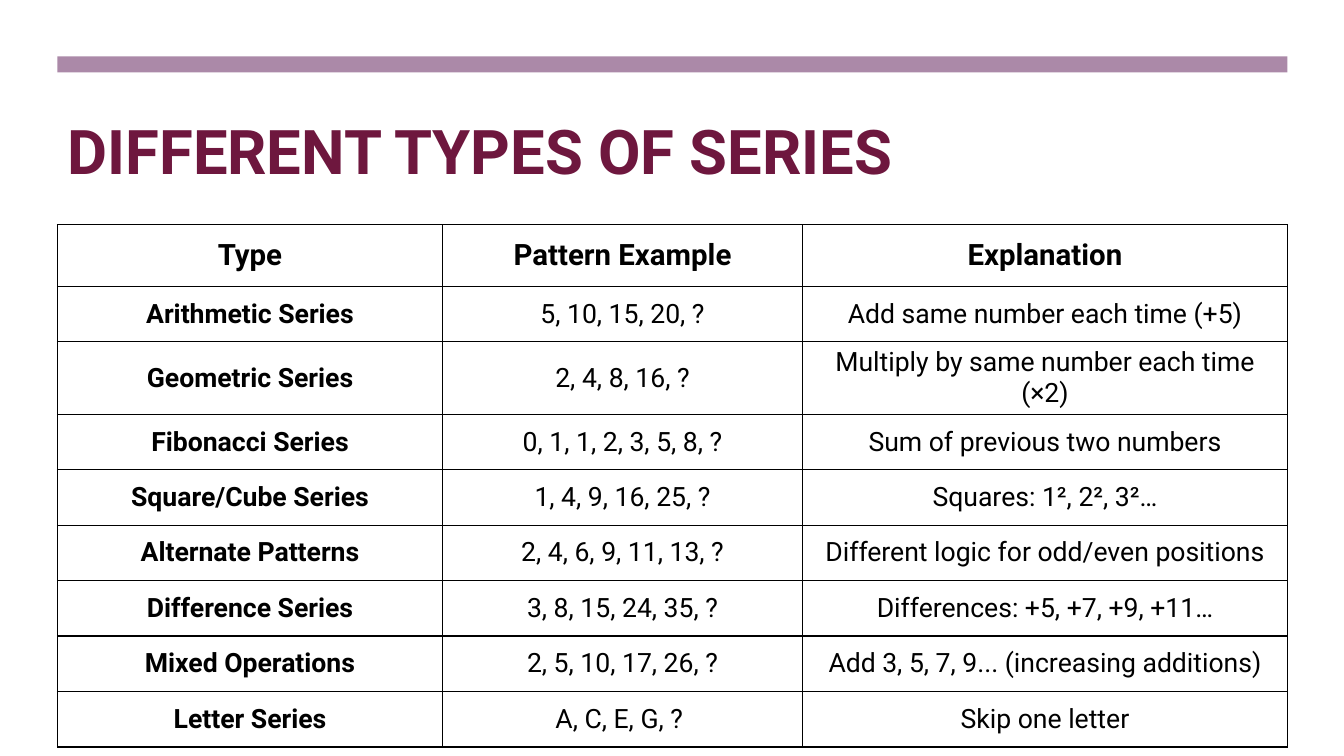
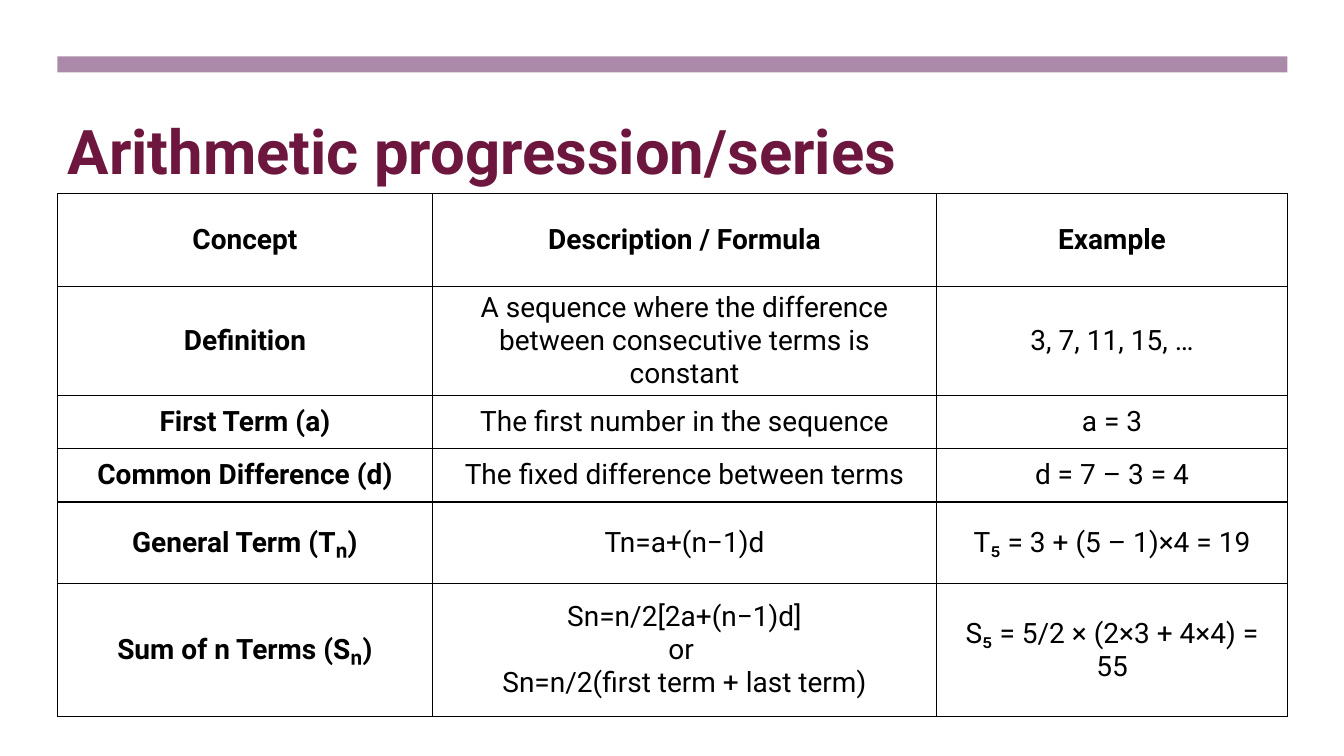
"""Build two slides with tables about number series."""
from dataclasses import dataclass

from lxml import etree
from pptx import Presentation
from pptx import util as u
from pptx.dml.color import RGBColor
from pptx.enum import shapes, text
from pptx.oxml import ns


@dataclass(frozen=True)
class Theme:
    font: str = "Roboto"
    paper: RGBColor = RGBColor(0xFF, 0xFF, 0xFF)
    ink: RGBColor = RGBColor(0, 0, 0)
    title: RGBColor = RGBColor(0x6E, 0x17, 0x3E)
    band: RGBColor = RGBColor(0xAB, 0x89, 0xA8)
    title_size: int = 44
    border_width: int = 1


THEME = Theme()
LEFT, WIDTH = u.Inches(0.57), u.Inches(12.2)

SLIDES = [
    {
        "title": "DIFFERENT TYPES OF SERIES",
        "top": 2.23,
        "columns": [3.82, 3.57, 4.81],
        "heights": [0.61] + [0.55] * 8,
        "header_size": 21,
        "body_size": 19,
        "rows": [
            ("Type", "Pattern Example", "Explanation"),
            ("Arithmetic Series", "5, 10, 15, 20, ?", "Add same number each time (+5)"),
            ("Geometric Series", "2, 4, 8, 16, ?", "Multiply by same number each time (×2)"),
            ("Fibonacci Series", "0, 1, 1, 2, 3, 5, 8, ?", "Sum of previous two numbers"),
            ("Square/Cube Series", "1, 4, 9, 16, 25, ?", "Squares: 1², 2², 3²…"),
            ("Alternate Patterns", "2, 4, 6, 9, 11, 13, ?", "Different logic for odd/even positions"),
            ("Difference Series", "3, 8, 15, 24, 35, ?", "Differences: +5, +7, +9, +11…"),
            ("Mixed Operations", "2, 5, 10, 17, 26, ?", "Add 3, 5, 7, 9... (increasing additions)"),
            ("Letter Series", "A, C, E, G, ? ", "Skip one letter"),
        ],
    },
    {
        "title": "Arithmetic progression/series",
        "top": 1.92,
        "columns": [3.72, 5, 3.48],
        "heights": [0.92, 0.92, 0.53, 0.53, 0.81, 1.32],
        "header_size": 20,
        "body_size": 20,
        "rows": [
            ("Concept", "Description / Formula", "Example"),
            (
                "Definition",
                "A sequence where the difference between consecutive terms is constant",
                "3, 7, 11, 15, …",
            ),
            ("First Term (a)", "The first number in the sequence", "a = 3"),
            ("Common Difference (d)", "The fixed difference between terms", "d = 7 – 3 = 4"),
            ("General Term (Tₙ)", "Tn=a+(n−1)d", "T₅ = 3 + (5 – 1)×4 = 19"),
            (
                "Sum of n Terms (Sₙ)",
                "Sn=n/2[2a+(n−1)d]\nor \nSn=n/2(first term + last term)",
                "S₅ = 5/2 × (2×3 + 4×4) = 55",
            ),
        ],
    },
]


def write(frame, words, size, color=THEME.ink, bold=False,
          align=text.PP_ALIGN.CENTER, anchor=text.MSO_ANCHOR.MIDDLE):
    frame.text = words
    frame.vertical_anchor = anchor
    for paragraph in frame.paragraphs:
        paragraph.alignment = align
        for run in paragraph.runs:
            run.font.name = THEME.font
            run.font.size = u.Pt(size)
            run.font.bold = bold
            run.font.color.rgb = color


def draw_borders(cell):
    properties = cell._tc.get_or_add_tcPr()
    for position, side in enumerate(("a:lnL", "a:lnR", "a:lnT", "a:lnB")):
        line = etree.Element(ns.qn(side), w=str(u.Pt(THEME.border_width)))
        fill = etree.SubElement(line, ns.qn("a:solidFill"))
        etree.SubElement(fill, ns.qn("a:srgbClr"), val=str(THEME.ink))
        properties.insert(position, line)


presentation = Presentation()
presentation.slide_width = u.Inches(13.33)
presentation.slide_height = u.Inches(7.5)
title_only = presentation.slide_layouts[5]

for content in SLIDES:
    slide = presentation.slides.add_slide(title_only)
    slide.background.fill.solid()
    slide.background.fill.fore_color.rgb = THEME.paper

    title = slide.shapes.title
    title.left, title.top = LEFT, u.Inches(1.07)
    title.width, title.height = WIDTH, u.Inches(1.6)
    title.text_frame.auto_size = text.MSO_AUTO_SIZE.NONE
    write(title.text_frame, content["title"], THEME.title_size, color=THEME.title,
          bold=True, align=text.PP_ALIGN.LEFT, anchor=text.MSO_ANCHOR.TOP)

    band = slide.shapes.add_shape(
        shapes.MSO_SHAPE.RECTANGLE, LEFT, u.Inches(0.56), WIDTH, u.Inches(0.16))
    band.shadow.inherit = False
    band.fill.solid()
    band.fill.fore_color.rgb = THEME.band
    band.line.fill.background()

    rows, heights = content["rows"], content["heights"]
    table = slide.shapes.add_table(
        len(rows), len(content["columns"]), LEFT, u.Inches(content["top"]),
        WIDTH, u.Inches(sum(heights))).table
    table.first_row = table.horz_banding = False
    for column, width in zip(table.columns, content["columns"]):
        column.width = u.Inches(width)
    for row_index, (row, height) in enumerate(zip(table.rows, heights)):
        row.height = u.Inches(height)
        size = content["body_size"] if row_index else content["header_size"]
        for column_index, cell in enumerate(row.cells):
            cell.fill.background()
            draw_borders(cell)
            write(cell.text_frame, rows[row_index][column_index], size,
                  bold=row_index == 0 or column_index == 0)
            cell.vertical_anchor = text.MSO_ANCHOR.MIDDLE

presentation.save("out.pptx")
